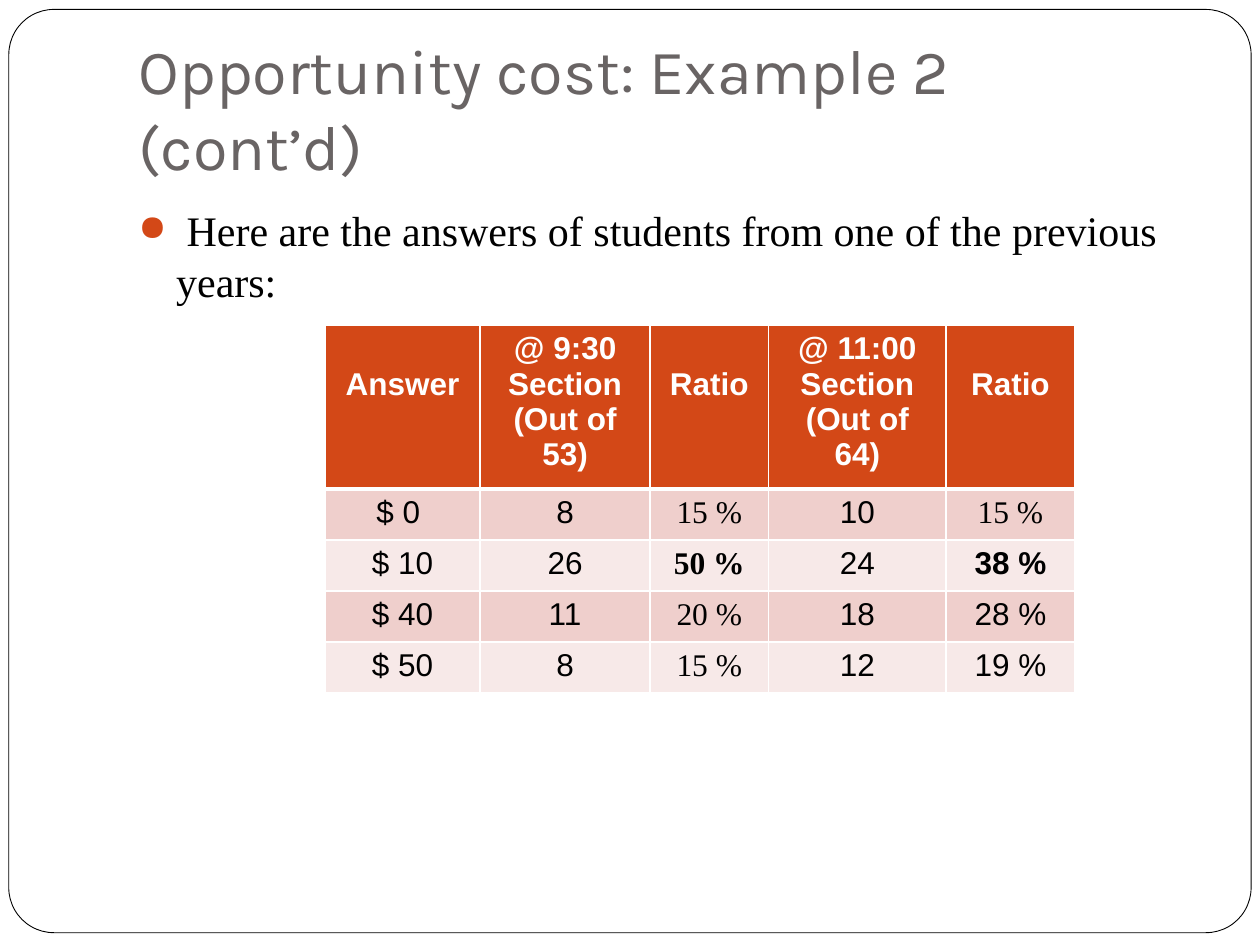
from dataclasses import dataclass

import pptx
import pptx.dml.color
import pptx.enum.shapes
import pptx.enum.text
import pptx.oxml
import pptx.oxml.ns
import pptx.util
from lxml import etree

Inches = pptx.util.Inches
Pt = pptx.util.Pt
ALIGN = pptx.enum.text.PP_ALIGN
ANCHOR = pptx.enum.text.MSO_ANCHOR
WIDE, HIGH = 10, 7.5


@dataclass(frozen=True)
class Theme:
    accent: str = "D34817"
    title: str = "696464"
    ink: str = "000000"
    paper: str = "FFFFFF"
    bands: tuple = ("EFCFCC", "F7E9E8")
    head: str = "Karla"
    sans: str = "Arial"
    serif: str = "Times New Roman"
    big: int = 36
    body: int = 24
    small: int = 18


@dataclass(frozen=True)
class Box:
    """A place given as shares of the slide's size."""
    left: float
    top: float
    width: float
    height: float

    def place(self) -> tuple:
        return (Inches(self.left * WIDE), Inches(self.top * HIGH),
                Inches(self.width * WIDE), Inches(self.height * HIGH))


@dataclass(frozen=True)
class Cell:
    text: str
    serif: bool = False
    bold: bool = False


THEME = Theme()
FRAME = Box(0.007, 0.01, 0.986, 0.977)
TITLE = Box(0.1, 0.04, 0.85, 0.167)
BODY = Box(0.1, 0.21, 0.85, 0.13)
TABLE = Box(0.258, 0.344, 0.595, 0.378)
COLS = (1.23, 1.35, 0.94, 1.41, 1.02)
HEAD_ROW, ROW = 1.22, 0.405
LINE = 0.28  # one line of small text

HEADS = ("Answer", "@ 9:30\nSection\n(Out of 53)", "Ratio",
         "@ 11:00\nSection\n(Out of 64)", "Ratio")
ROWS = (
    (Cell("$ 0 "), Cell("8"), Cell("15 %", True), Cell("10"), Cell("15 %", True)),
    (Cell("$ 10"), Cell("26"), Cell("50 %", True, True), Cell("24"), Cell("38 %", bold=True)),
    (Cell("$ 40"), Cell("11"), Cell("20 %", True), Cell("18"), Cell("28 %")),
    (Cell("$ 50"), Cell("8"), Cell("15 %", True), Cell("12"), Cell("19 %")),
)


def rgb(code: str) -> pptx.dml.color.RGBColor:
    return pptx.dml.color.RGBColor.from_string(code)


def add_run(para, text: str, font: str, size: int, color: str, bold: bool = False) -> None:
    run = para.add_run()
    run.text = text
    run.font.name, run.font.size, run.font.bold = font, Pt(size), bold
    run.font.color.rgb = rgb(color)


def add_frame(slide) -> None:
    """Draw the rounded page border behind everything else."""
    kind = pptx.enum.shapes.MSO_SHAPE.ROUNDED_RECTANGLE
    frame = slide.shapes.add_shape(kind, *FRAME.place())
    frame.adjustments[0] = 0.049
    frame.shadow.inherit = False
    frame.fill.solid()
    frame.fill.fore_color.rgb = rgb(THEME.paper)
    frame.line.color.rgb = rgb(THEME.ink)
    frame.line.width = Pt(0.5)
    slide.shapes.title.element.addprevious(frame.element)


def set_title(slide, text: str) -> None:
    title = slide.shapes.title
    title.left, title.top, title.width, title.height = TITLE.place()
    area = title.text_frame
    area.word_wrap = True
    area.auto_size = pptx.enum.text.MSO_AUTO_SIZE.NONE
    area.vertical_anchor = ANCHOR.BOTTOM
    area.margin_bottom = Inches(0.1)
    para = area.paragraphs[0]
    para.alignment = ALIGN.LEFT
    add_run(para, text, THEME.head, THEME.big, THEME.title)


def add_bullet(para) -> None:
    props = para._p.get_or_add_pPr()
    props.set("marL", str(Inches(0.3)))
    props.set("indent", str(-Inches(0.3)))
    qn = pptx.oxml.ns.qn
    color = etree.SubElement(props, qn("a:buClr"))
    etree.SubElement(color, qn("a:srgbClr"), val=THEME.accent)
    etree.SubElement(props, qn("a:buSzPct"), val="85000")
    etree.SubElement(props, qn("a:buChar"), char="●")


def add_body(slide, text: str) -> None:
    area = slide.shapes.add_textbox(*BODY.place()).text_frame
    area.word_wrap = True
    para = area.paragraphs[0]
    para.space_before = Pt(5.8)
    add_bullet(para)
    add_run(para, text, THEME.serif, THEME.body, THEME.ink)


def set_edges(cell, top: float, bottom: float) -> None:
    """Give a cell white borders, with top and bottom widths in points."""
    props = cell._tc.get_or_add_tcPr()
    ns = pptx.oxml.ns.nsdecls("a")
    for spot, (side, width) in enumerate(zip("LRTB", (1, 1, top, bottom))):
        props.insert(spot, pptx.oxml.parse_xml(
            f'<a:ln{side} {ns} w="{Pt(width)}"><a:solidFill>'
            f'<a:srgbClr val="{THEME.paper}"/></a:solidFill></a:ln{side}>'))


def fill_cell(cell, item: Cell, fill: str, color: str) -> None:
    cell.fill.solid()
    cell.fill.fore_color.rgb = rgb(fill)
    area = cell.text_frame
    for num, line in enumerate(item.text.split("\n")):
        para = area.add_paragraph() if num else area.paragraphs[0]
        para.alignment = ALIGN.CENTER
        font = THEME.serif if item.serif else THEME.sans
        add_run(para, line, font, THEME.small, color, item.bold)


def add_answers(slide) -> None:
    shape = slide.shapes.add_table(len(ROWS) + 1, len(COLS), *TABLE.place())
    table = shape.table
    for col, width in zip(table.columns, COLS):
        col.width = Inches(width)
    for num, row in enumerate(table.rows):
        row.height = Inches(ROW if num else HEAD_ROW)
    for col, text in enumerate(HEADS):
        cell = table.cell(0, col)
        fill_cell(cell, Cell(text, bold=True), THEME.accent, THEME.paper)
        set_edges(cell, 1, 3)
        if "\n" not in text:
            cell.margin_top = Inches(0.05 + LINE)
    for num, row in enumerate(ROWS):
        for col, item in enumerate(row):
            cell = table.cell(num + 1, col)
            fill_cell(cell, item, THEME.bands[num % 2], THEME.ink)
            set_edges(cell, 1 if num else 3, 1)


def main() -> None:
    deck = pptx.Presentation()
    deck.slide_width, deck.slide_height = Inches(WIDE), Inches(HIGH)
    slide = deck.slides.add_slide(deck.slide_layouts[5])
    add_frame(slide)
    set_title(slide, "Opportunity cost: Example 2 (cont’d)")
    add_body(slide, " Here are the answers of students from one of the previous years:")
    add_answers(slide)
    deck.save("out.pptx")


if __name__ == "__main__":
    main()
